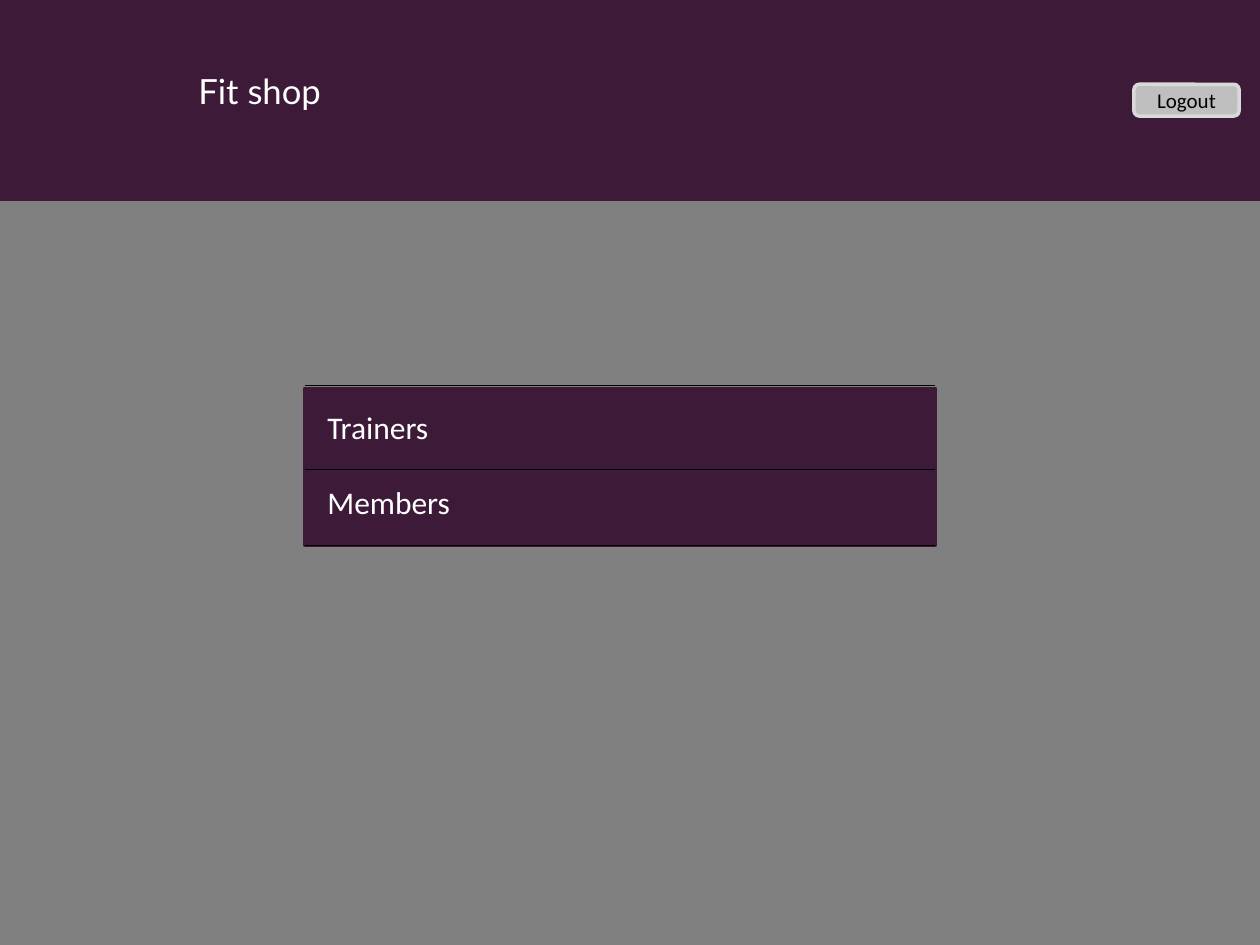
"""Build the Fit shop menu slide."""
from pptx import Presentation
from pptx.dml.color import RGBColor
from pptx.enum.shapes import MSO_CONNECTOR, MSO_SHAPE
from pptx.enum.text import MSO_ANCHOR, PP_ALIGN
from pptx.util import Cm, Pt
from lxml.etree import SubElement
from pptx.oxml.ns import qn

PLUM = RGBColor(0x3D, 0x1B, 0x38)
GRAY = RGBColor(0x80, 0x80, 0x80)
SILVER = RGBColor(0xBF, 0xBF, 0xBF)
LIGHT = RGBColor(0xD9, 0xD9, 0xD9)
WHITE = RGBColor(0xFF, 0xFF, 0xFF)
BLACK = RGBColor(0, 0, 0)

TITLE = "Fit shop"
BUTTON = "Logout"
MENU = ["Trainers", "Members"]
WIDTH, HEIGHT, HEADER = 25.4, 19.05, 4.02
MENU_LEFT, MENU_WIDTH = 6.15, 12.7
RULES = [7.77, 9.47, 11]


def add_box(s, kind, left, top, width, height, fill, line):
    sp = s.shapes.add_shape(kind, Cm(left), Cm(top), Cm(width), Cm(height))
    sp.shadow.inherit = False
    sp.fill.solid()
    sp.fill.fore_color.rgb = fill
    sp.line.color.rgb = line
    sp.line.width = Pt(2)
    return sp


def add_rule(s, y):
    c = s.shapes.add_connector(MSO_CONNECTOR.STRAIGHT, Cm(MENU_LEFT), Cm(y),
                               Cm(MENU_LEFT + MENU_WIDTH), Cm(y))
    c.line.color.rgb = BLACK
    c.line.width = Pt(0.75)
    SubElement(c._element.spPr, qn("a:effectLst"))


def set_text(sp, lines, size, color, font="Calibri", align=PP_ALIGN.LEFT, gap=0):
    tf = sp.text_frame
    tf.text = "\n".join(lines)
    for i, p in enumerate(tf.paragraphs):
        p.alignment = align
        p.space_before = Pt(gap if i else 0)
        for r in p.runs:
            r.font.name = font
            r.font.size = Pt(size)
            r.font.color.rgb = color
    return tf


def main():
    prs = Presentation()
    prs.slide_width, prs.slide_height = Cm(WIDTH), Cm(HEIGHT)
    s = prs.slides.add_slide(prs.slide_layouts[6])

    add_box(s, MSO_SHAPE.RECTANGLE, 0, HEADER, WIDTH, HEIGHT - HEADER, GRAY, GRAY)
    add_box(s, MSO_SHAPE.RECTANGLE, MENU_LEFT, 7.83, MENU_WIDTH, 3.17, PLUM, PLUM)
    for y in RULES:
        add_rule(s, y)
    menu = s.shapes.add_textbox(Cm(6.35), Cm(8.1), Cm(3.02), Cm(2.54))
    set_text(menu, MENU, 18, WHITE, gap=21).word_wrap = True

    header = add_box(s, MSO_SHAPE.RECTANGLE, 0, 0, WIDTH, HEADER, PLUM, PLUM)
    tf = set_text(header, [TITLE], 19.8, WHITE, font="Lato")
    tf.vertical_anchor = MSO_ANCHOR.MIDDLE
    tf.margin_left = Cm(4)
    tf.margin_bottom = Cm(0.5)

    button = add_box(s, MSO_SHAPE.ROUNDED_RECTANGLE, 22.86, 1.7, 2.12, 0.64,
                     SILVER, LIGHT)
    tf = set_text(button, [BUTTON], 12, BLACK, align=PP_ALIGN.CENTER)
    tf.vertical_anchor = MSO_ANCHOR.MIDDLE

    prs.save("out.pptx")


if __name__ == "__main__":
    main()
